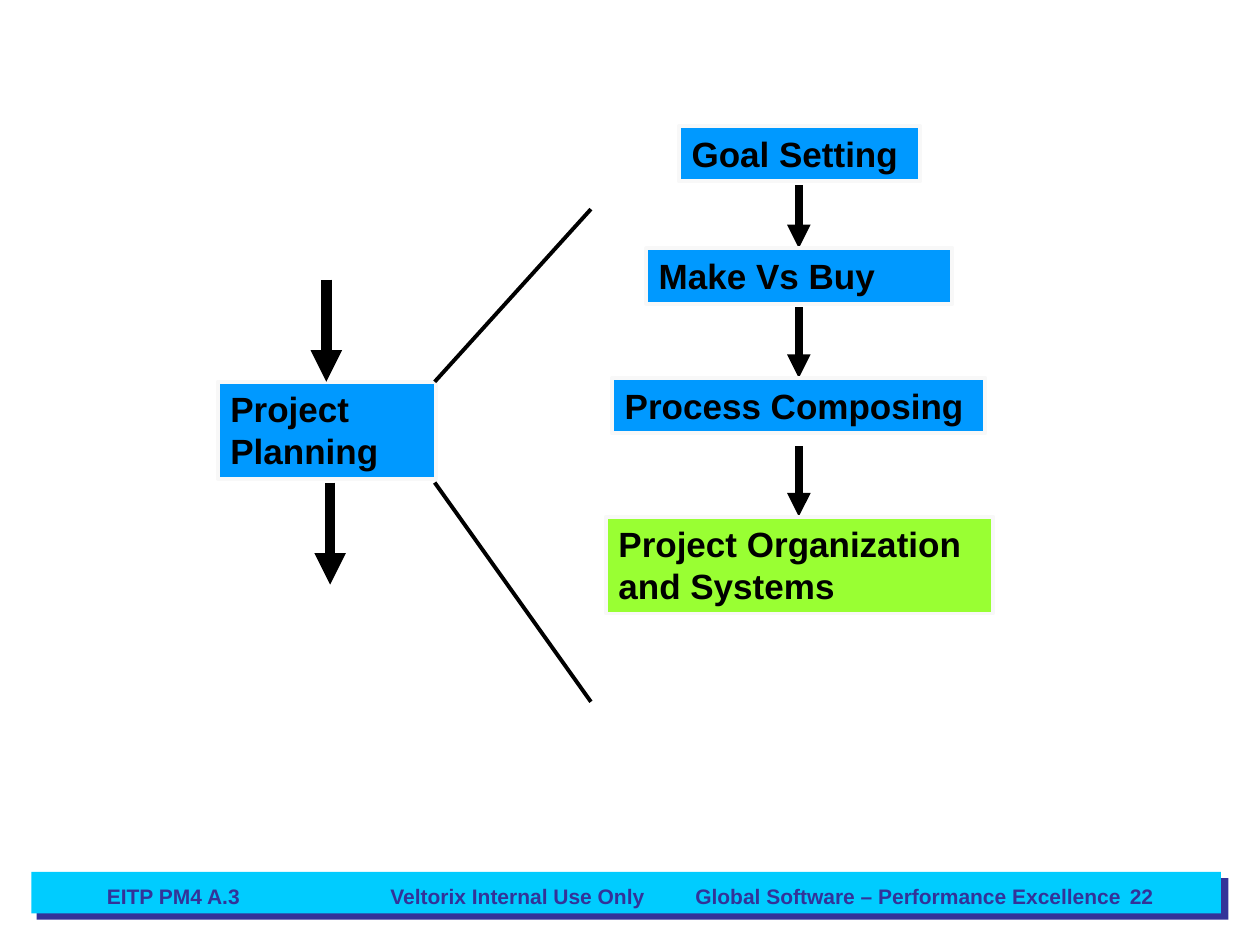
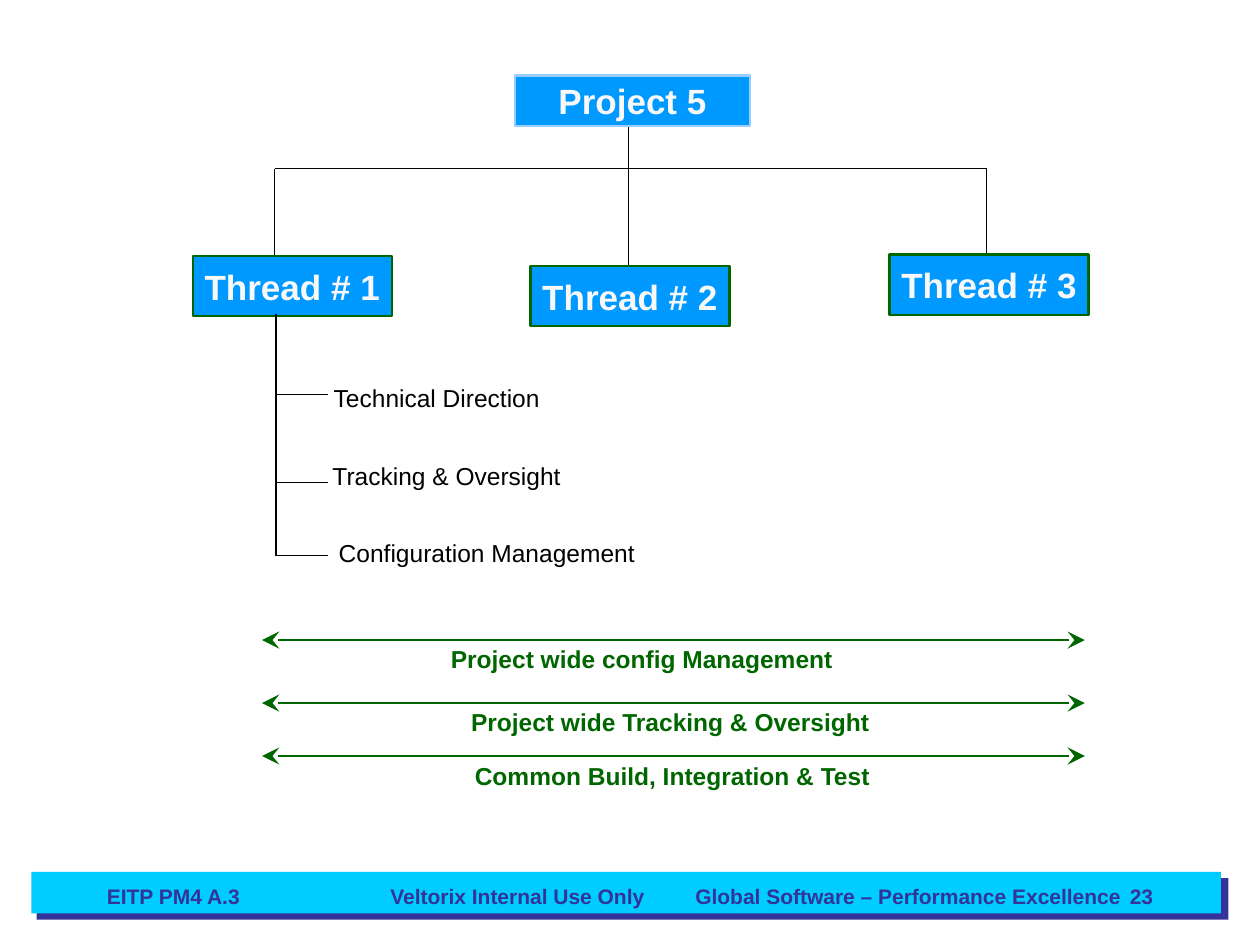
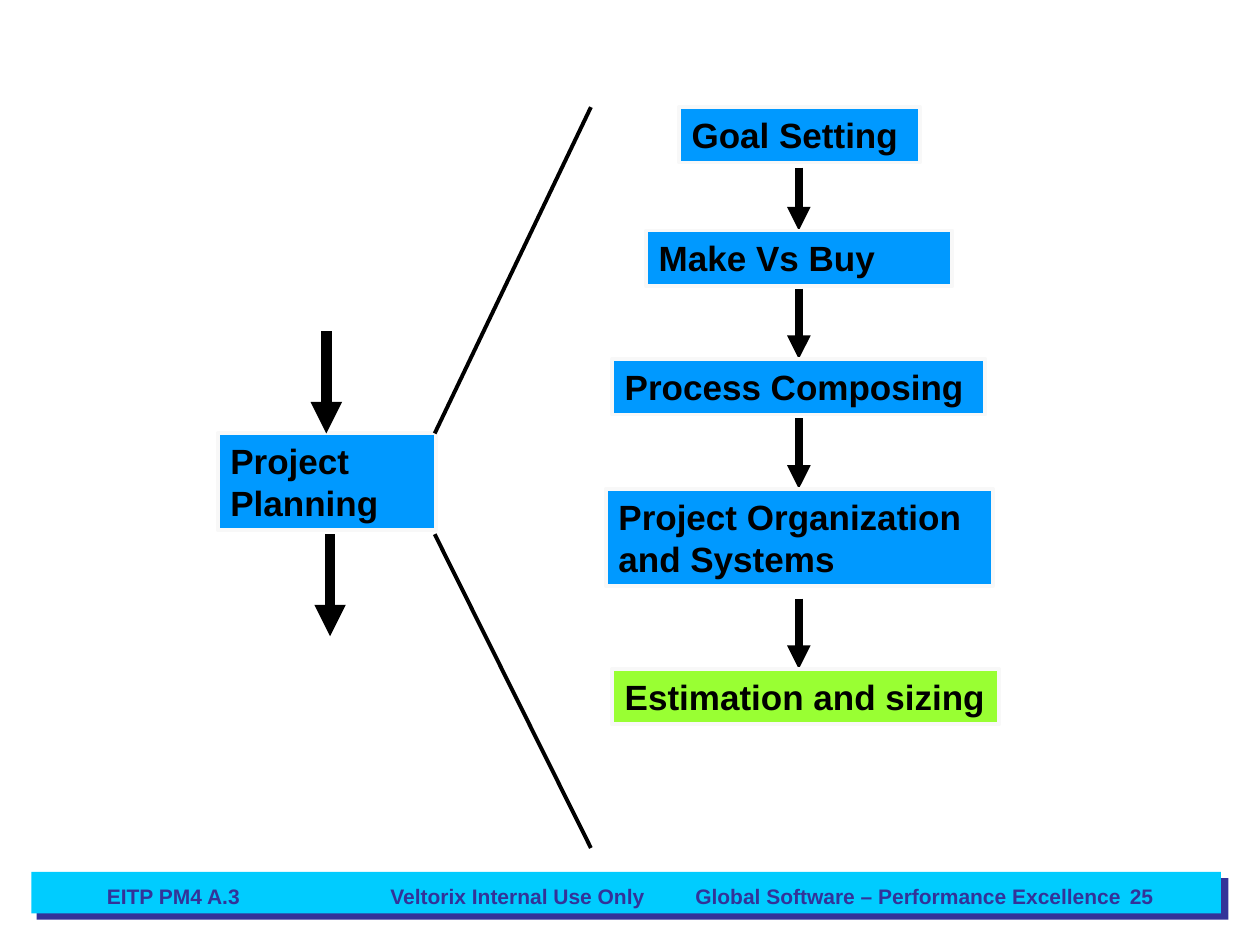
"""Build three project planning slides on a grid of 100 columns by 75 rows."""
import dataclasses
import typing

import pptx
import pptx.dml.color
import pptx.enum.shapes
import pptx.enum.text
import pptx.oxml
import pptx.oxml.ns
import pptx.slide
import pptx.util

WIDTH = pptx.util.Inches(10)
HEIGHT = pptx.util.Inches(7.5)
COLUMNS, ROWS = 100, 75

BLUE, LIME, CYAN, NAVY = "0099FF", "99FF33", "00CCFF", "333399"
GREEN, PALE_BLUE, OFF_WHITE, BLACK = "006600", "99CCFF", "F8F8F8", "000000"

LEFT = pptx.enum.text.PP_ALIGN.LEFT
CENTER = pptx.enum.text.PP_ALIGN.CENTER
RIGHT = pptx.enum.text.PP_ALIGN.RIGHT
TOP = pptx.enum.text.MSO_ANCHOR.TOP
MIDDLE = pptx.enum.text.MSO_ANCHOR.MIDDLE


class Area(typing.NamedTuple):
    """A place on the grid, in columns and rows."""
    left: float
    top: float
    width: float
    height: float


@dataclasses.dataclass(frozen=True)
class TextStyle:
    """The look of one piece of text."""
    size: float
    color: str
    bold: bool = True
    align: pptx.enum.text.PP_ALIGN = LEFT
    anchor: pptx.enum.text.MSO_ANCHOR = TOP
    wrap: bool = True


@dataclasses.dataclass(frozen=True)
class BoxStyle:
    """The look of a filled box."""
    fill: str
    line: str = ""
    weight: float = 0


@dataclasses.dataclass(frozen=True)
class LineStyle:
    """The look of a line and its arrowheads."""
    weight: float
    color: str = BLACK
    head: str = ""
    tail: str = ""
    head_size: str = "med"


class Step(typing.NamedTuple):
    """A planning step and the length of the arrow leading to it."""
    text: str
    left: float
    width: float
    height: float
    arrow: float


class Thread(typing.NamedTuple):
    """A thread box and the column of its branch."""
    text: str
    area: Area
    branch_column: float


class Label(typing.NamedTuple):
    """A one-line text and the row of the line that belongs to it."""
    text: str
    left: float
    top: float
    line_row: float


FOOTER = TextStyle(12, NAVY)
PAGE_NUMBER = TextStyle(12, NAVY, align=RIGHT)
STEP_TEXT = TextStyle(20, BLACK)
CHART_TEXT = TextStyle(20, OFF_WHITE, align=CENTER, anchor=MIDDLE, wrap=False)
TASK_TEXT = TextStyle(14, BLACK, bold=False)
SHARED_TEXT = TextStyle(14, GREEN)

STEP_BOX = BoxStyle(BLUE, OFF_WHITE, 2.25)
CURRENT_BOX = BoxStyle(LIME, OFF_WHITE, 2.25)
PROJECT_BOX = BoxStyle(BLUE, PALE_BLUE, 1.25)
THREAD_BOX = BoxStyle(BLUE, GREEN, 1.25)

ZOOM_LINE = LineStyle(2.25)
FLOW_ARROW = LineStyle(6, tail="triangle")
STEP_ARROW = LineStyle(4.5, tail="triangle")
TREE_LINE = LineStyle(0.75)
SPAN_ARROW = LineStyle(1.25, GREEN, "stealth", "stealth", "lg")

STEPS = (
    Step("Goal Setting", 53.9, 19.1, 4.4, 0),
    Step("Make Vs Buy", 51.3, 24.3, 4.4, 5),
    Step("Process Composing", 48.6, 29.6, 4.4, 5.6),
    Step("Project Organization and Systems", 48.1, 30.7, 7.7, 5.6),
    Step("Estimation and sizing", 48.6, 30.7, 4.4, 5.6),
)
STEP_AXIS = 63.4

THREADS = (
    Thread("Thread # 1", Area(15.3, 20.3, 15.8, 4.8), 21.8),
    Thread("Thread # 2", Area(42.1, 21.1, 15.8, 4.8), 49.9),
    Thread("Thread # 3", Area(70.6, 20.2, 15.8, 4.8), 78.3),
)
TASKS = (
    Label("Technical Direction", 25.5, 29.9, 31.3),
    Label("Tracking & Oversight", 25.4, 36.1, 38.3),
    Label("Configuration Management", 25.9, 42.2, 44.1),
)
SHARED_WORK = (
    Label("Project wide config Management", 34.8, 50.6, 50.8),
    Label("Project wide Tracking & Oversight", 36.4, 55.6, 55.8),
    Label("Common Build, Integration & Test", 36.7, 59.9, 60),
)
TASK_WIDTH, SHARED_WIDTH, LABEL_HEIGHT = 27, 35, 3.4


def x(columns: float) -> int:
    """Turn columns into a length."""
    return round(WIDTH * columns / COLUMNS)


def y(rows: float) -> int:
    """Turn rows into a length."""
    return round(HEIGHT * rows / ROWS)


def place(area: Area) -> tuple[int, int, int, int]:
    """Turn a grid area into lengths."""
    return x(area.left), y(area.top), x(area.width), y(area.height)


def rgb(color: str) -> pptx.dml.color.RGBColor:
    """Turn a hex string into a colour."""
    return pptx.dml.color.RGBColor.from_string(color)


def write(shape, text: str, style: TextStyle) -> None:
    """Put styled text into a shape."""
    frame = shape.text_frame
    frame.text = text
    frame.word_wrap = style.wrap
    frame.vertical_anchor = style.anchor
    paragraph = frame.paragraphs[0]
    paragraph.alignment = style.align
    paragraph.font.name = "Arial"
    paragraph.font.size = pptx.util.Pt(style.size)
    paragraph.font.bold = style.bold
    paragraph.font.color.rgb = rgb(style.color)


def add_text(slide: pptx.slide.Slide, area: Area, text: str, style: TextStyle):
    """Add a text box."""
    shape = slide.shapes.add_textbox(*place(area))
    write(shape, text, style)
    return shape


def add_box(slide: pptx.slide.Slide, area: Area, style: BoxStyle):
    """Add a filled rectangle."""
    rectangle = pptx.enum.shapes.MSO_SHAPE.RECTANGLE
    shape = slide.shapes.add_shape(rectangle, *place(area))
    shape.shadow.inherit = False
    shape.fill.solid()
    shape.fill.fore_color.rgb = rgb(style.fill)
    if style.line:
        shape.line.color.rgb = rgb(style.line)
        shape.line.width = pptx.util.Pt(style.weight)
    else:
        shape.line.fill.background()
    return shape


def add_line(slide: pptx.slide.Slide, start: tuple[float, float],
             end: tuple[float, float], style: LineStyle) -> None:
    """Add a straight line between two grid points."""
    connector = slide.shapes.add_connector(
        pptx.enum.shapes.MSO_CONNECTOR.STRAIGHT,
        x(start[0]), y(start[1]), x(end[0]), y(end[1]))
    connector.line.color.rgb = rgb(style.color)
    connector.line.width = pptx.util.Pt(style.weight)
    properties = connector.element.spPr
    namespace = pptx.oxml.ns.nsdecls("a")
    for tag, kind in (("a:headEnd", style.head), ("a:tailEnd", style.tail)):
        if kind:
            properties.get_or_add_ln().append(pptx.oxml.parse_xml(
                f"<{tag} {namespace} type='{kind}' "
                f"w='{style.head_size}' len='{style.head_size}'/>"))
    properties.append(pptx.oxml.parse_xml(f"<a:effectLst {namespace}/>"))


def move_band_to_master(presentation, slide: pptx.slide.Slide) -> None:
    """Draw the footer band and hand it to the slide master."""
    band = (
        add_box(slide, Area(2.9, 69.7, 94.6, 3.3), BoxStyle(NAVY)),
        add_box(slide, Area(2.5, 69.2, 94.4, 3.3), BoxStyle(CYAN)),
        add_text(slide, Area(30, 69.6, 32.6, 3),
                 "Veltorix Internal Use Only", FOOTER),
        add_text(slide, Area(54.2, 69.6, 36.4, 3),
                 "Global Software – Performance Excellence", FOOTER),
    )
    for number, shape in enumerate(band, start=100):
        shape.element.nvSpPr.cNvPr.set("id", str(number))
        presentation.slide_master.shapes.element.append(shape.element)


def add_footer(slide: pptx.slide.Slide, page: int) -> None:
    """Add the course code and page number."""
    add_text(slide, Area(7.5, 69.6, 20.8, 2.5), "EITP PM4 A.3", FOOTER)
    add_text(slide, Area(71.7, 69.6, 20.8, 2.5), str(page), PAGE_NUMBER)


def draw_planning(slide: pptx.slide.Slide, planning_top: float,
                  zoom: tuple[float, float], tops: tuple[float, ...]) -> None:
    """Draw the planning phase opened into its steps, the last one current."""
    planning_end = planning_top + 8
    planning = add_box(slide, Area(17.3, planning_top, 17.3, 7.7), STEP_BOX)
    write(planning, "Project Planning", STEP_TEXT)
    add_line(slide, (34.5, planning_top), (46.9, zoom[0]), ZOOM_LINE)
    add_line(slide, (34.5, planning_end), (46.9, zoom[1]), ZOOM_LINE)
    add_line(slide, (25.9, planning_top - 8.1), (25.9, planning_top), FLOW_ARROW)
    add_line(slide, (26.2, planning_end), (26.2, planning_end + 8.1), FLOW_ARROW)
    for step, top in zip(STEPS, tops):
        if step.arrow:
            add_line(slide, (STEP_AXIS, top - step.arrow), (STEP_AXIS, top), STEP_ARROW)
        style = CURRENT_BOX if top == tops[-1] else STEP_BOX
        box = add_box(slide, Area(step.left, top, step.width, step.height), style)
        write(box, step.text, STEP_TEXT)


def draw_threads(slide: pptx.slide.Slide) -> None:
    """Draw the project tree with its threads, tasks and shared work."""
    branch_row, trunk, task_stem = 13.4, 49.9, 21.9
    project = add_box(slide, Area(40.9, 6, 18.6, 4), PROJECT_BOX)
    write(project, "Project 5", CHART_TEXT)
    add_line(slide, (trunk, 10.1), (trunk, branch_row), TREE_LINE)
    add_line(slide, (THREADS[0].branch_column, branch_row),
             (THREADS[-1].branch_column, branch_row), TREE_LINE)
    for thread in THREADS:
        add_line(slide, (thread.branch_column, branch_row),
                 (thread.branch_column, thread.area.top), TREE_LINE)
        write(add_box(slide, thread.area, THREAD_BOX), thread.text, CHART_TEXT)
    add_line(slide, (task_stem, 24.9), (task_stem, TASKS[-1].line_row), TREE_LINE)
    for task in TASKS:
        add_line(slide, (task_stem, task.line_row), (26, task.line_row), TREE_LINE)
        add_text(slide, Area(task.left, task.top, TASK_WIDTH, LABEL_HEIGHT),
                 task.text, TASK_TEXT)
    for work in SHARED_WORK:
        add_line(slide, (20.8, work.line_row), (86.1, work.line_row), SPAN_ARROW)
        add_text(slide, Area(work.left, work.top, SHARED_WIDTH, LABEL_HEIGHT),
                 work.text, SHARED_TEXT)


def main() -> None:
    """Build and save the presentation."""
    presentation = pptx.Presentation()
    presentation.slide_width, presentation.slide_height = WIDTH, HEIGHT
    blank = presentation.slide_layouts[6]
    organization, threads, estimation = (
        presentation.slides.add_slide(blank) for _ in range(3))
    move_band_to_master(presentation, organization)
    draw_planning(organization, 30.3, (16.6, 55.7), (10, 19.7, 30, 41))
    draw_threads(threads)
    draw_planning(estimation, 34.4, (8.5, 67.3), (8.5, 18.3, 28.5, 38.8, 53.1))
    for slide, page in ((organization, 22), (threads, 23), (estimation, 25)):
        add_footer(slide, page)
    presentation.save("out.pptx")


if __name__ == "__main__":
    main()
